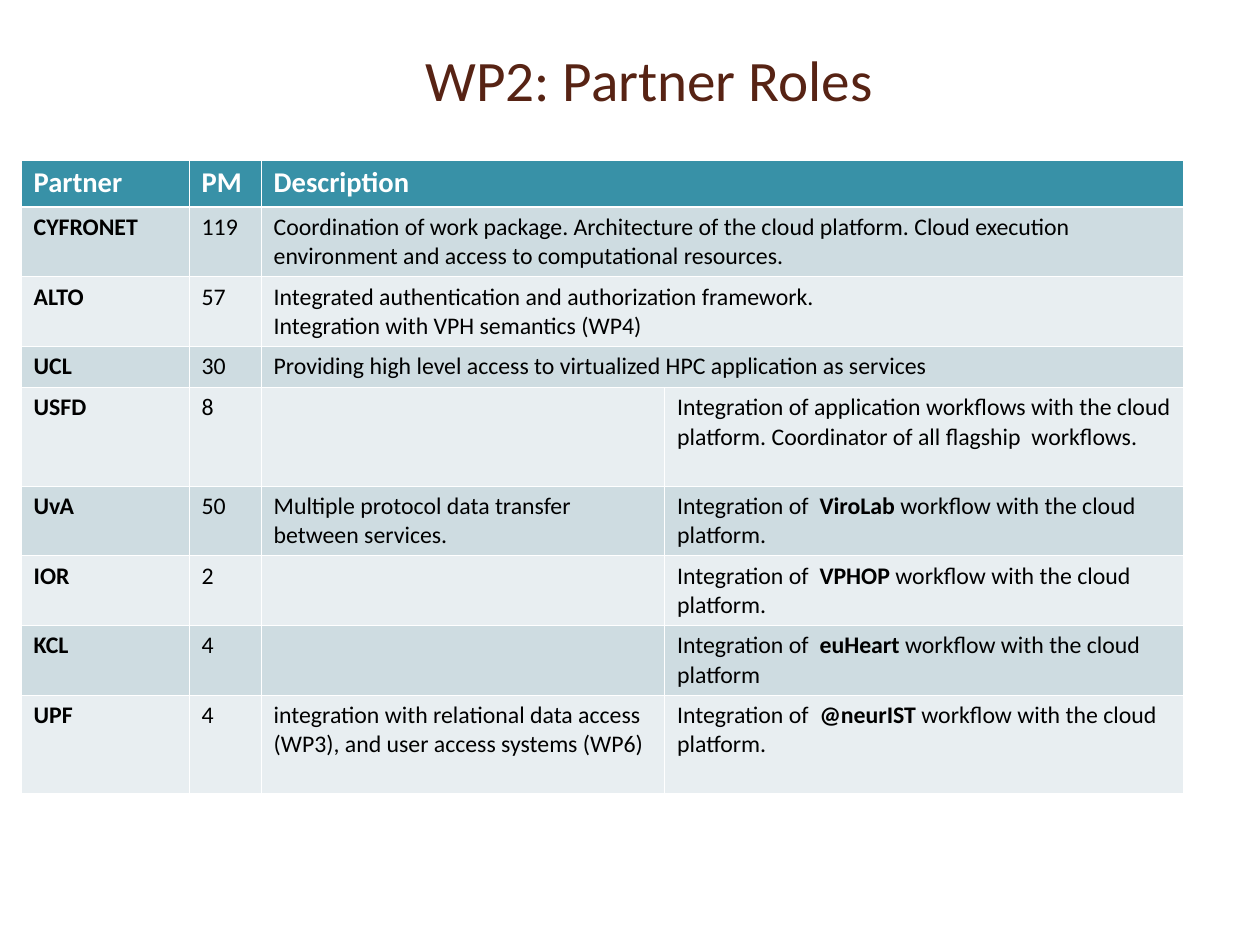
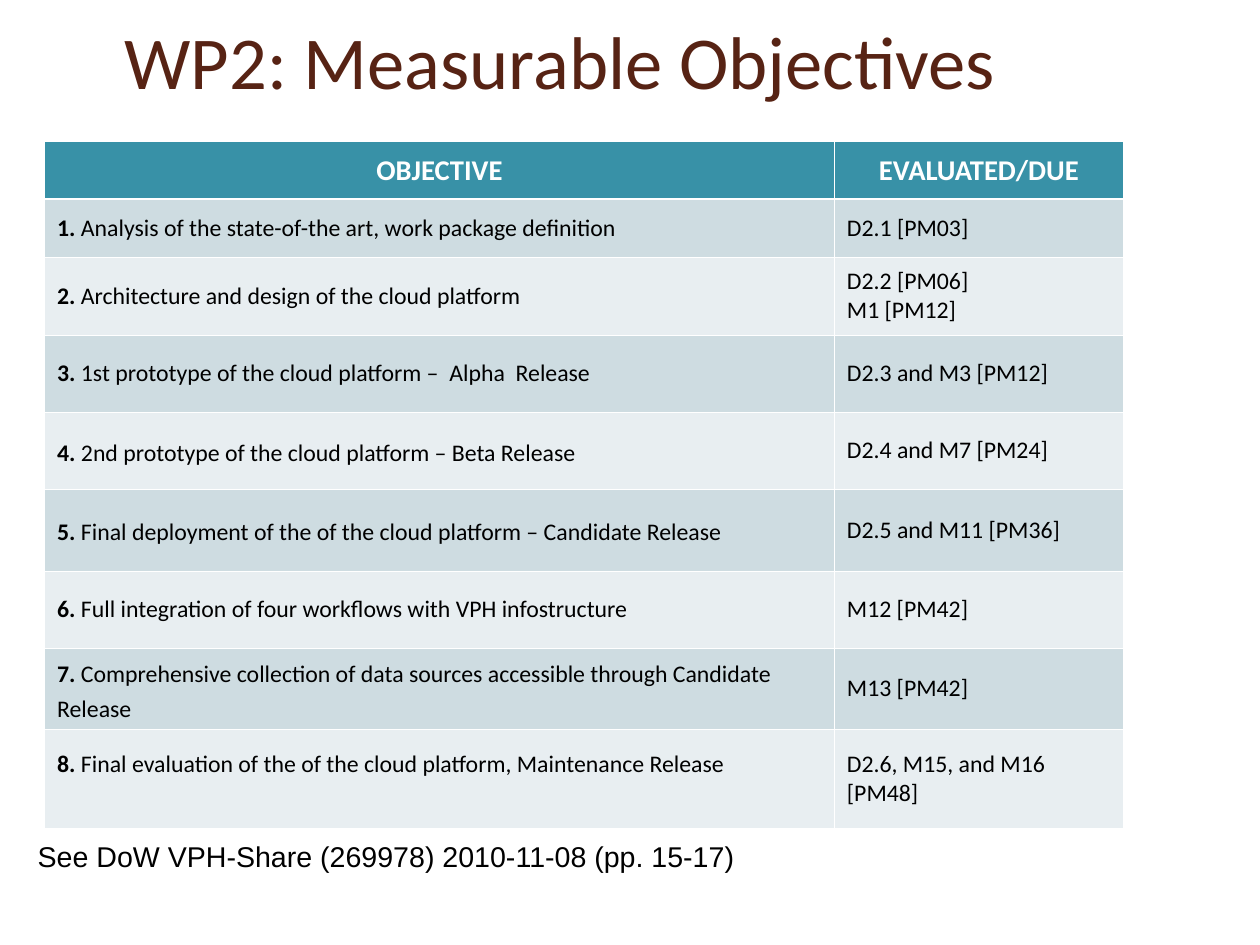
import lxml.etree
import pptx
import pptx.dml.color
import pptx.enum.text
import pptx.oxml.ns
import pptx.util

RGB = pptx.dml.color.RGBColor
ALIGN = pptx.enum.text.PP_ALIGN
ANCHOR = pptx.enum.text.MSO_ANCHOR
WHITE = RGB(0xFF, 0xFF, 0xFF)
BLACK = RGB(0x00, 0x00, 0x00)
BROWN = RGB(0x57, 0x23, 0x14)
TEAL = RGB(0x38, 0x91, 0xA7)
BANDS = RGB(0xCE, 0xDC, 0xE1), RGB(0xE8, 0xEE, 0xF1)
WIDTH, HEIGHT = pptx.util.Cm(28), pptx.util.Cm(21)
CELL = pptx.util.Inches(0.1)  # side of one square of the layout grid
THIN, THICK = 0.45, 1.47

ROLES = [
    ["Partner", "PM", "Description", None],
    ["*CYFRONET*", "119", "Coordination of work package. Architecture of the cloud platform. "
     "Cloud execution environment and access to computational resources.", None],
    ["*ALTO*", "57", "Integrated authentication and authorization framework.\n"
     "Integration with VPH semantics (WP4)", None],
    ["*UCL*", "30", "Providing high level access to virtualized HPC application as services", None],
    ["*USFD*", "8", "", "Integration of application workflows with the cloud platform. "
     "Coordinator of all flagship  workflows."],
    ["*UvA*", "50", "Multiple protocol data transfer between services.",
     "Integration of  *ViroLab *workflow with the cloud platform."],
    ["*IOR*", "2", "", "Integration of  *VPHOP* workflow with the cloud platform."],
    ["*KCL*", "4", "", "Integration of  *euHeart* workflow with the cloud platform"],
    ["*UPF*", "4", "integration with relational data access (WP3), and user access systems (WP6)",
     "Integration of  *@neurIST* workflow with the cloud platform."],
]
GOALS = [
    ["OBJECTIVE", "EVALUATED/DUE"],
    ["*1. *Analysis of the state-of-the art, work package definition", "D2.1 [PM03]"],
    ["*2. *Architecture and design of the cloud platform", "D2.2 [PM06]\vM1 [PM12]"],
    ["*3. *1st prototype of the cloud platform –  Alpha  Release", "D2.3 and M3 [PM12]"],
    ["*4.* 2nd prototype of the cloud platform – Beta Release", "D2.4 and M7 [PM24]"],
    ["*5.* Final deployment of the of the cloud platform – Candidate Release",
     "D2.5 and M11 [PM36]"],
    ["*6.* Full integration of four workflows with VPH infostructure", "M12 [PM42]"],
    ["*7.* Comprehensive collection of data sources accessible through Candidate Release",
     "M13 [PM42]"],
    ["*8.* Final evaluation of the of the cloud platform, Maintenance Release",
     "D2.6, M15, and M16 [PM48]"],
]
LOOSE = 4, 5, 7  # objectives set with wider lines


def grid(*cells):
    return [round(n * CELL) for n in cells]


def write(frame, words, size=15, color=BLACK, font="Calibri", bold=False,
          align=ALIGN.LEFT, space=None):
    """Fill a frame: \\n parts paragraphs, \\v breaks a line, asterisks enclose bold."""
    frame.word_wrap = True
    for i, block in enumerate(words.split("\n")):
        para = frame.add_paragraph() if i else frame.paragraphs[0]
        para.alignment = align
        if space:
            para.line_spacing = space
        for k, line in enumerate(block.split("\v")):
            if k:
                para.add_line_break()
            for j, part in enumerate(line.split("*")):
                if part:
                    run = para.add_run()
                    run.text = part
                    run.font.size = pptx.util.Pt(size)
                    run.font.name = font
                    run.font.bold = bold or j % 2 == 1
                    run.font.color.rgb = color


def border(cell, **widths):
    """Add white cell edges; call before the fill, which must follow them."""
    props = cell._tc.get_or_add_tcPr()
    for side, width in widths.items():
        line = lxml.etree.SubElement(props, pptx.oxml.ns.qn("a:ln" + side),
                                     w=str(int(pptx.util.Pt(width))))
        fill = lxml.etree.SubElement(line, pptx.oxml.ns.qn("a:solidFill"))
        lxml.etree.SubElement(fill, pptx.oxml.ns.qn("a:srgbClr"), val=str(WHITE))


class Deck:
    def __init__(self):
        self.file = pptx.Presentation()
        self.file.slide_width = WIDTH
        self.file.slide_height = HEIGHT
        self.slide = None

    def pad(self, frame):
        frame.margin_left, frame.margin_right = grid(1.1, 1.1)
        frame.margin_top, frame.margin_bottom = grid(0.6, 0.6)
        frame.auto_size = pptx.enum.text.MSO_AUTO_SIZE.NONE

    def start(self, words, box, size, align=ALIGN.LEFT):
        """Open a slide and set its title."""
        self.slide = self.file.slides.add_slide(self.file.slide_layouts[5])
        title = self.slide.shapes.title
        title.left, title.top, title.width, title.height = grid(*box)
        self.pad(title.text_frame)
        title.text_frame.vertical_anchor = ANCHOR.MIDDLE
        write(title.text_frame, words, size=size, color=BROWN, align=align)

    def note(self, words, box):
        frame = self.slide.shapes.add_textbox(*grid(*box)).text_frame
        self.pad(frame)
        write(frame, words, size=18, font="Arial", space=0.8)

    def table(self, data, spot, wide, high, anchor=ANCHOR.TOP, head=ALIGN.LEFT, loose=()):
        """Draw a banded table; None joins a cell to the one on its left."""
        shape = self.slide.shapes.add_table(
            len(high), len(wide), *grid(*spot, sum(wide), sum(high)))
        table = shape.table
        for col, width in zip(table.columns, grid(*wide)):
            col.width = width
        for row, height in zip(table.rows, grid(*high)):
            row.height = height
        for r, row in enumerate(data):
            for c, words in enumerate(row):
                cell = table.cell(r, c)
                cell.margin_left, cell.margin_right = grid(1.1, 1.1)
                cell.margin_top, cell.margin_bottom = grid(0.5, 0.5)
                cell.vertical_anchor = anchor
                border(cell, L=THIN, R=THIN, T=THICK if r == 1 else THIN,
                       B=THIN if r else THICK)
                cell.fill.solid()
                cell.fill.fore_color.rgb = BANDS[(r - 1) % 2] if r else TEAL
                if words is None:
                    table.cell(r, c - 1).merge(cell)
                elif r == 0:
                    write(cell.text_frame, words, size=18, color=WHITE, bold=True, align=head)
                else:
                    write(cell.text_frame, words,
                          space=1.2 if c == 0 and r in loose else None)
        return table


def main():
    deck = Deck()
    deck.start("WP2: Partner Roles", (14.65, 0.8, 84.3, 12.2), 36, ALIGN.CENTER)
    deck.table(ROLES, (1.85, 14), (14.7, 6.3, 35.3, 45.4),
               (4.1, 6.1, 6.1, 3.6, 8.6, 6.1, 6.1, 6.1, 8.6))

    deck.start("WP2: Measurable Objectives", (9.8, -1.65, 84, 13.8), 47)
    goals = deck.table(GOALS, (3.9, 12.35), (69.1, 25.3),
                       (5.1, 5.1, 6.75, 6.75, 6.75, 7.15, 6.75, 7.15, 8.6),
                       anchor=ANCHOR.MIDDLE, head=ALIGN.CENTER, loose=LOOSE)
    goals.cell(8, 0).margin_bottom = grid(3)[0]
    deck.note("See DoW VPH-Share (269978) 2010-11-08 (pp. 15-17)", (2.2, 73.4, 69.5, 4.6))
    deck.file.save("out.pptx")


if __name__ == "__main__":
    main()
